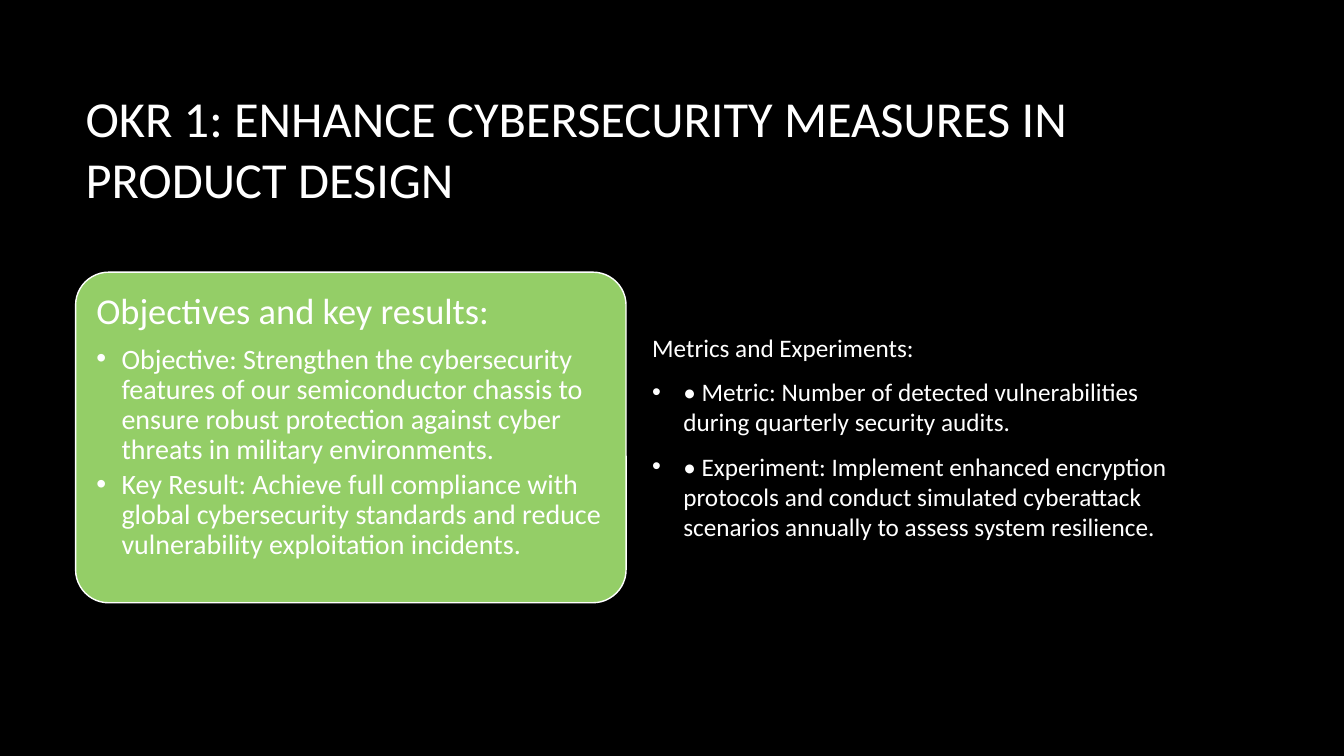
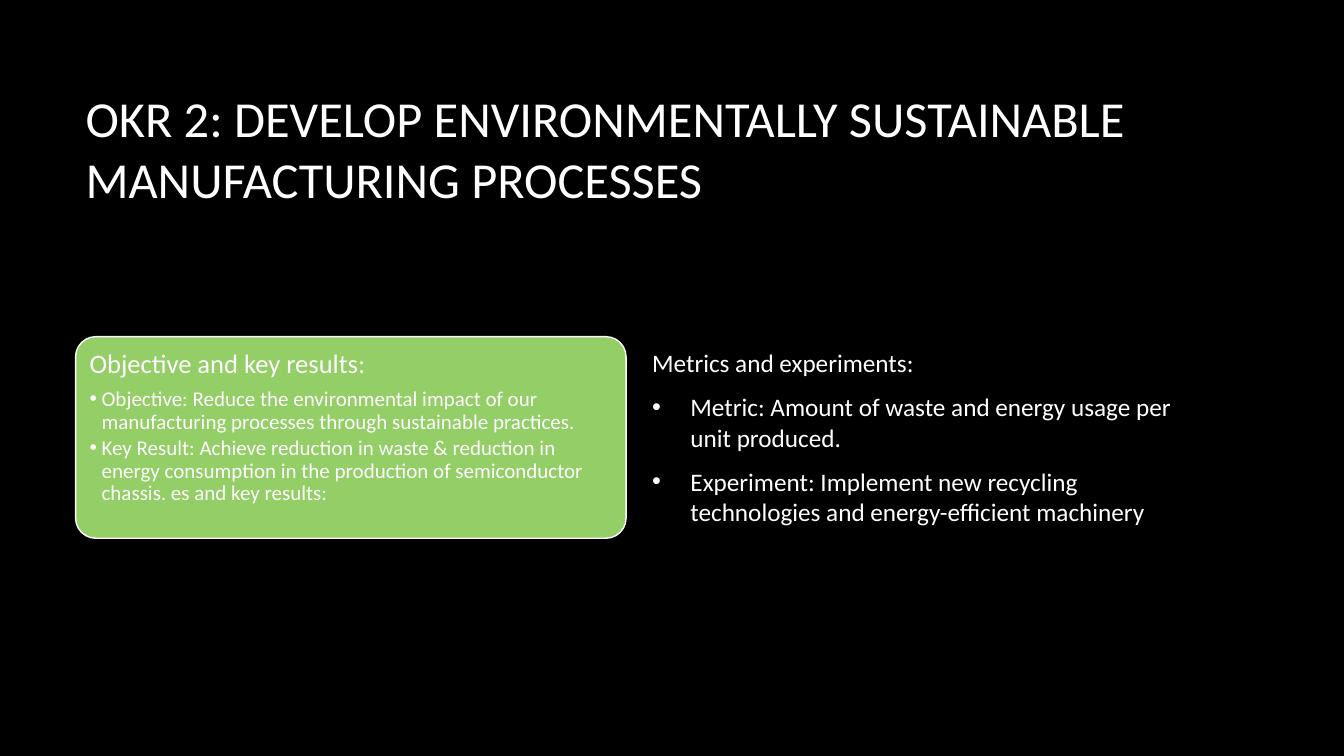
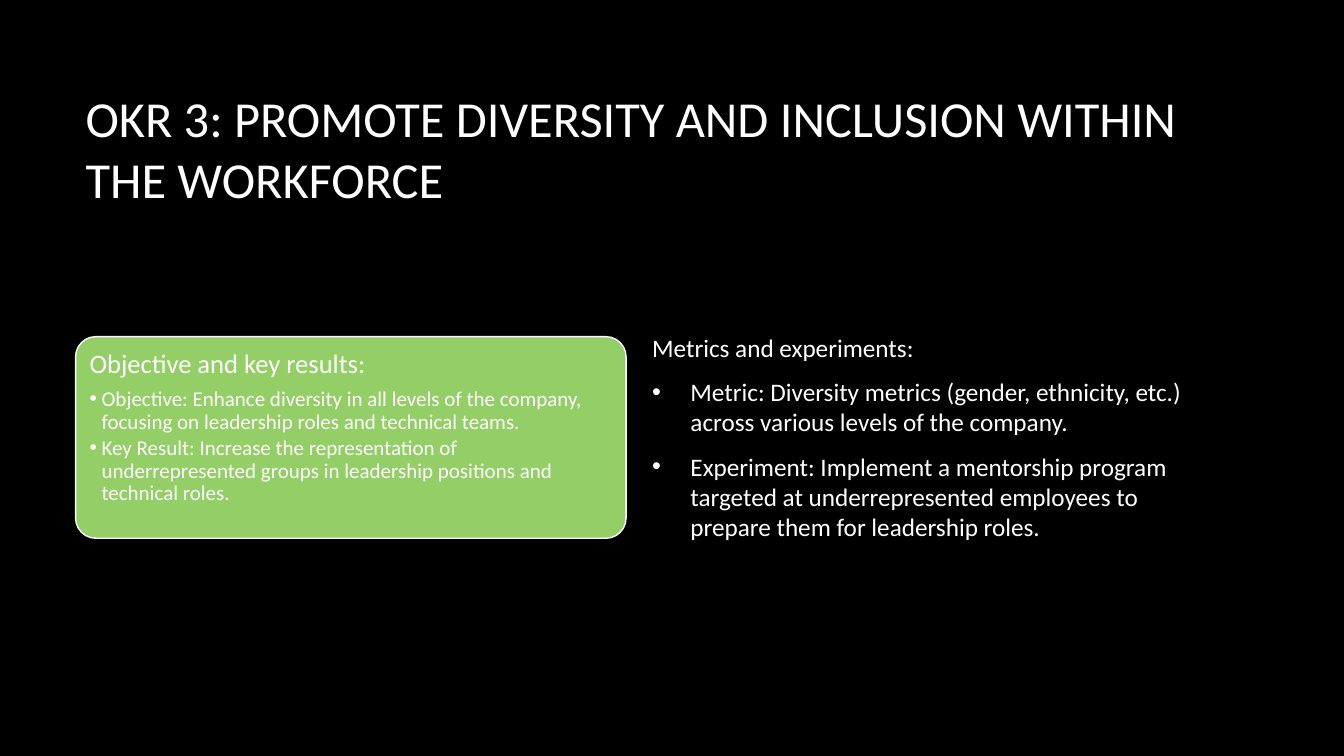
from lxml import etree
from pptx import Presentation
from pptx.dml.color import RGBColor
from pptx.enum.shapes import MSO_SHAPE
from pptx.enum.text import MSO_ANCHOR, PP_ALIGN
from pptx.oxml.ns import qn
from pptx.util import Inches, Pt

ROUNDED = MSO_SHAPE.ROUNDED_RECTANGLE
TOP, MIDDLE = MSO_ANCHOR.TOP, MSO_ANCHOR.MIDDLE
LEFT = PP_ALIGN.LEFT

BLACK = RGBColor(0x00, 0x00, 0x00)
WHITE = RGBColor(0xFF, 0xFF, 0xFF)
GREEN = RGBColor(0x94, 0xCE, 0x67)
FONT = "Calibri"

# Shared layout, in inches
MARGIN = 0.75
CONTENT_WIDTH = 11.08
COLUMN_WIDTH = 5.46
METRICS_LEFT = MARGIN + CONTENT_WIDTH - COLUMN_WIDTH
COLUMN_MIDDLE = 4.34

# Card styles: height, text inset, heading and bullet sizes, bullet indent
LARGE_CARD = (3.28, 0.11, 26, 20, 0.25)
SMALL_CARD = (2.0, 0.08, 19, 15, 0.12)

SLIDES = [
    {
        "title": "OKR 1: ENHANCE CYBERSECURITY MEASURES IN PRODUCT DESIGN",
        "card_style": LARGE_CARD,
        "card": [
            "Objectives and key results:",
            "Objective: Strengthen the cybersecurity features of our semiconductor chassis "
            "to ensure robust protection against cyber threats in military environments.",
            "Key Result: Achieve full compliance with global cybersecurity standards "
            "and reduce vulnerability exploitation incidents.",
        ],
        "metrics_indent": 0.31,
        "metrics": [
            "Metrics and Experiments:",
            "• Metric: Number of detected vulnerabilities during quarterly security audits.",
            "• Experiment: Implement enhanced encryption protocols and conduct simulated "
            "cyberattack scenarios annually to assess system resilience.",
        ],
    },
    {
        "title": "OKR 2: DEVELOP ENVIRONMENTALLY SUSTAINABLE MANUFACTURING PROCESSES",
        "card_style": SMALL_CARD,
        "card": [
            "Objective and key results:",
            "Objective: Reduce the environmental impact of our manufacturing processes "
            "through sustainable practices.",
            "Key Result: Achieve reduction in waste & reduction in energy consumption "
            "in the production of semiconductor chassis. es and key results:",
        ],
        "metrics_indent": 0.38,
        "metrics": [
            "Metrics and experiments:",
            "Metric: Amount of waste and energy usage per unit produced.",
            "Experiment: Implement new recycling technologies and energy-efficient machinery",
        ],
    },
    {
        "title": "OKR 3: PROMOTE DIVERSITY AND INCLUSION WITHIN THE WORKFORCE",
        "card_style": SMALL_CARD,
        "card": [
            "Objective and key results:",
            "Objective: Enhance diversity in all levels of the company, focusing on "
            "leadership roles and technical teams.",
            "Key Result: Increase the representation of underrepresented groups in "
            "leadership positions and technical roles.",
        ],
        "metrics_indent": 0.38,
        "metrics": [
            "Metrics and experiments:",
            "Metric: Diversity metrics (gender, ethnicity, etc.) across various levels "
            "of the company.",
            "Experiment: Implement a mentorship program targeted at underrepresented "
            "employees to prepare them for leadership roles.",
        ],
    },
]


def write_text(shape, lines, sizes, spaces, anchor, line_spacing=1.0, indent=0):
    """Write a heading and its bullets; sizes and spaces are (heading, bullet)."""
    text_frame = shape.text_frame
    text_frame.word_wrap = True
    text_frame.vertical_anchor = anchor
    text_frame.text = "\n".join(lines)
    for index, paragraph in enumerate(text_frame.paragraphs):
        kind = min(index, 1)
        paragraph.alignment = LEFT
        paragraph.line_spacing = line_spacing
        paragraph.space_after = Pt(spaces[kind])
        font = paragraph.runs[0].font
        font.name = FONT
        font.size = Pt(sizes[kind])
        font.color.rgb = WHITE
        if kind == 1:
            properties = paragraph._p.get_or_add_pPr()
            properties.set("marL", str(Inches(indent)))
            properties.set("indent", str(-Inches(indent)))
            etree.SubElement(properties, qn("a:buFont")).set("typeface", "Arial")
            etree.SubElement(properties, qn("a:buChar")).set("char", "•")


presentation = Presentation()
presentation.slide_width = Inches(13.33)
presentation.slide_height = Inches(7.5)
background = presentation.slide_master.background.fill
background.solid()
background.fore_color.rgb = BLACK
blank_layout = presentation.slide_layouts[6]

for content in SLIDES:
    slide = presentation.slides.add_slide(blank_layout)

    # Title
    title = slide.shapes.add_textbox(
        Inches(MARGIN), Inches(0.67), Inches(CONTENT_WIDTH), Inches(1.59))
    write_text(title, [content["title"]], (36, 36), (0, 0), MIDDLE)

    # Card with the objective and key results
    height, inset, heading_size, bullet_size, indent = content["card_style"]
    card = slide.shapes.add_shape(
        ROUNDED, Inches(MARGIN), Inches(COLUMN_MIDDLE - height / 2),
        Inches(COLUMN_WIDTH), Inches(height))
    card.adjustments[0] = 0.1
    card.shadow.inherit = False
    card.fill.solid()
    card.fill.fore_color.rgb = GREEN
    card.line.color.rgb = WHITE
    card.line.width = Pt(1)
    frame = card.text_frame
    frame.margin_left = frame.margin_right = Inches(inset)
    frame.margin_top = frame.margin_bottom = Inches(inset)
    write_text(card, content["card"], (heading_size, bullet_size),
               (heading_size * 0.35, bullet_size * 0.15), TOP, 0.9, indent)

    # Metrics and experiments
    metrics = slide.shapes.add_textbox(
        Inches(METRICS_LEFT), Inches(2.34), Inches(COLUMN_WIDTH), Inches(3.99))
    write_text(metrics, content["metrics"], (18, 18), (10, 10), MIDDLE,
               indent=content["metrics_indent"])

presentation.save("out.pptx")
